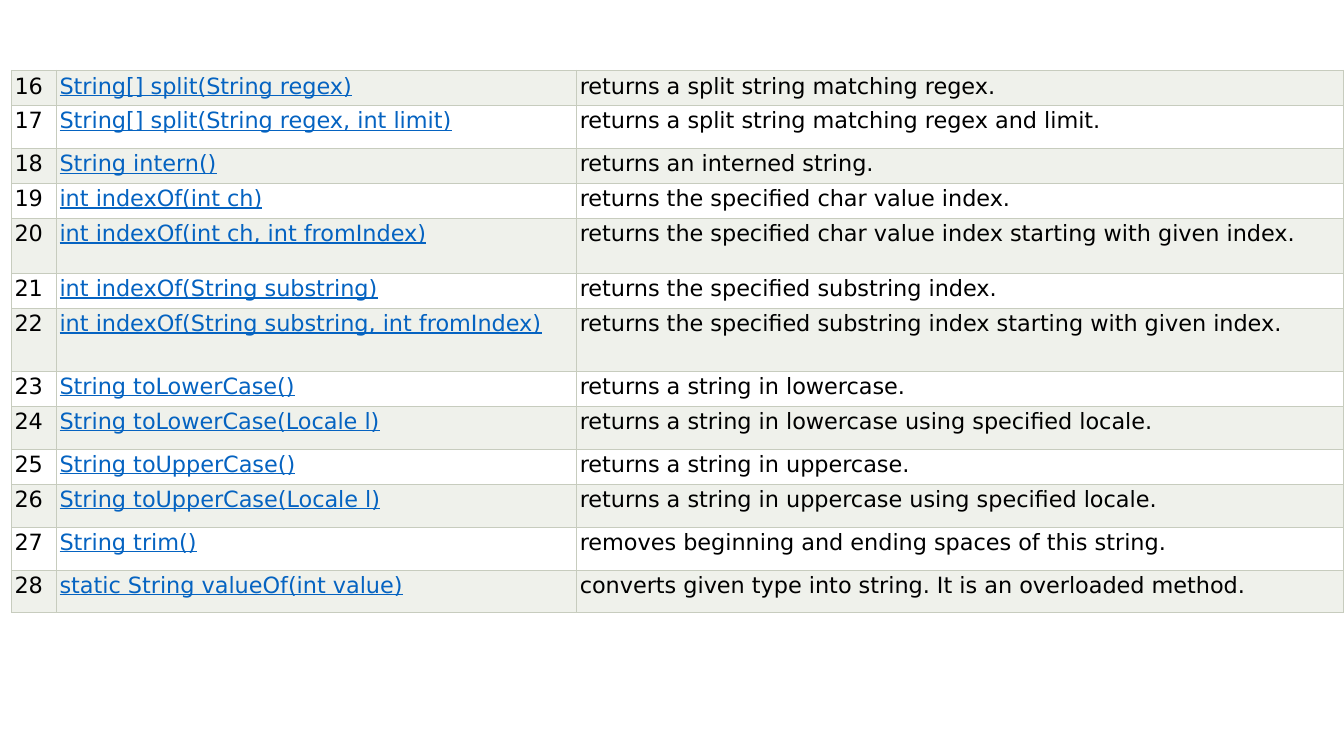
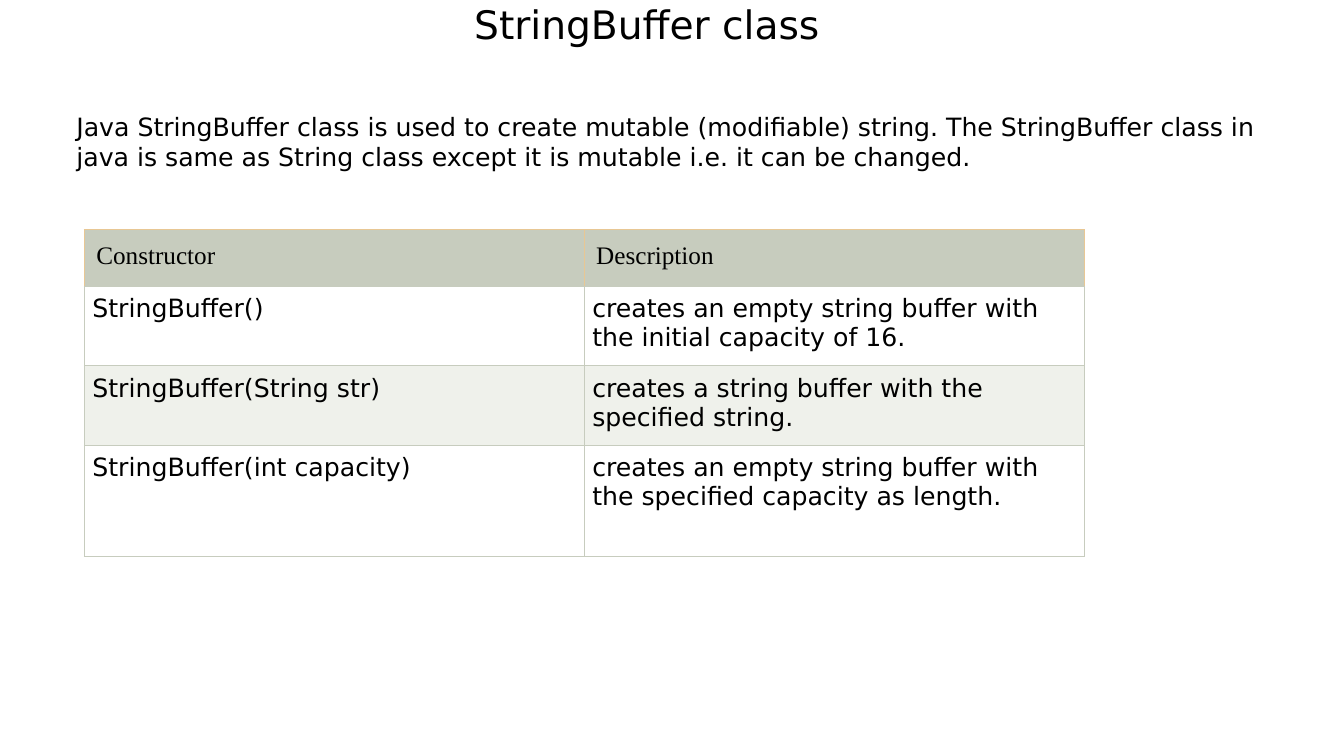
from dataclasses import dataclass
from typing import Any

from lxml.etree import SubElement
from pptx import Presentation
from pptx.dml.color import RGBColor
from pptx.enum.text import MSO_ANCHOR, MSO_AUTO_SIZE, PP_ALIGN
from pptx.oxml.ns import qn
from pptx.slide import Slide
from pptx.table import _Cell
from pptx.text.text import TextFrame
from pptx.util import Pt

BLACK = RGBColor(0x00, 0x00, 0x00)
WHITE = RGBColor(0xFF, 0xFF, 0xFF)
LINK_BLUE = RGBColor(0x05, 0x63, 0xC1)
BAND = RGBColor(0xEF, 0xF1, 0xEB)
SAGE = RGBColor(0xC7, 0xCC, 0xBE)
SAND = RGBColor(0xE8, 0xC7, 0x94)

TITLE_ONLY, BLANK = 5, 6
BORDER_WIDTH = Pt(0.75)

METHOD_FONT = {"name": "DejaVu Sans", "size": Pt(16)}
LINK_FONT = METHOD_FONT | {"underline": True}
BODY_FONT = {"name": "DejaVu Sans", "size": Pt(18)}
HEADER_FONT = {"name": "Times New Roman", "size": Pt(18)}
TITLE_FONT = {"name": "DejaVu Sans", "size": Pt(28)}


@dataclass(frozen=True)
class CellStyle:
    font: dict[str, Any]
    inset: float
    color: RGBColor = BLACK
    borders: tuple[RGBColor, ...] = (SAGE,) * 4


@dataclass(frozen=True)
class Row:
    height: float
    fill: RGBColor
    texts: tuple[str, ...]
    styles: tuple[CellStyle, ...]


@dataclass(frozen=True)
class Method:
    signature: str
    description: str
    height: float = 25


@dataclass(frozen=True)
class Constructor:
    signature: str
    description: str
    height: float = 56.8


NUMBER_STYLE = CellStyle(METHOD_FONT, 2.2)
LINK_STYLE = CellStyle(LINK_FONT, 2.2, LINK_BLUE)
HEADER_STYLE = CellStyle(HEADER_FONT, 8.6, borders=(SAND, SAND, SAND, SAGE))
BODY_STYLE = CellStyle(BODY_FONT, 5.8)

FIRST_METHOD_NUMBER = 16
METHODS = (
    Method("String[] split(String regex)", "returns a split string matching regex."),
    Method("String[] split(String regex, int limit)",
           "returns a split string matching regex and limit.", 30.7),
    Method("String intern()", "returns an interned string."),
    Method("int indexOf(int ch)", "returns the specified char value index."),
    Method("int indexOf(int ch, int fromIndex)",
           "returns the specified char value index starting with given index.", 39.3),
    Method("int indexOf(String substring)", "returns the specified substring index."),
    Method("int indexOf(String substring, int fromIndex)",
           "returns the specified substring index starting with given index.", 45),
    Method("String toLowerCase()", "returns a string in lowercase."),
    Method("String toLowerCase(Locale l)",
           "returns a string in lowercase using specified locale.", 30.7),
    Method("String toUpperCase()", "returns a string in uppercase."),
    Method("String toUpperCase(Locale l)",
           "returns a string in uppercase using specified locale.", 30.7),
    Method("String trim()", "removes beginning and ending spaces of this string.", 30.7),
    Method("static String valueOf(int value)",
           "converts given type into string. It is an overloaded method.", 30.7),
)
CONSTRUCTORS = (
    Constructor("StringBuffer()",
                "creates an empty string buffer with the initial capacity of 16."),
    Constructor("StringBuffer(String str)",
                "creates a string buffer with the specified string."),
    Constructor("StringBuffer(int capacity)",
                "creates an empty string buffer with the specified capacity as length.", 79.2),
)
INTRODUCTION = (
    "Java StringBuffer class is used to create mutable (modifiable) string. "
    "The StringBuffer class in java is same as String class except it is mutable "
    "i.e. it can be changed."
)


def set_attributes(target: Any, values: dict[str, Any]) -> None:
    for name, value in values.items():
        setattr(target, name, value)


def write_text(frame: TextFrame, text: str, font: dict[str, Any],
               color: RGBColor = BLACK) -> None:
    frame.word_wrap = True
    paragraph = frame.paragraphs[0]
    run = paragraph.add_run()
    run.text = text
    set_attributes(run.font, font)
    run.font.color.rgb = color


def draw_borders(cell: _Cell, colors: tuple[RGBColor, ...]) -> None:
    properties = cell._tc.get_or_add_tcPr()
    for side, color in zip("LRTB", colors):
        line = SubElement(properties, qn(f"a:ln{side}"), w=str(BORDER_WIDTH))
        fill = SubElement(line, qn("a:solidFill"))
        SubElement(fill, qn("a:srgbClr"), val=str(color))


def format_cell(cell: _Cell, text: str, style: CellStyle, fill: RGBColor) -> None:
    for side in ("left", "right", "top", "bottom"):
        setattr(cell, f"margin_{side}", Pt(style.inset))
    draw_borders(cell, style.borders)
    cell.fill.solid()
    cell.fill.fore_color.rgb = fill
    write_text(cell.text_frame, text, style.font, style.color)


def add_grid(slide: Slide, left: float, top: float, widths: tuple[float, ...],
             rows: list[Row]) -> None:
    height = sum(row.height for row in rows)
    table = slide.shapes.add_table(
        len(rows), len(widths), Pt(left), Pt(top), Pt(sum(widths)), Pt(height)).table
    set_attributes(table, {"first_row": False, "horz_banding": False})
    for column, width in zip(table.columns, widths):
        column.width = Pt(width)
    for table_row, row in zip(table.rows, rows):
        table_row.height = Pt(row.height)
        for cell, text, style in zip(table_row.cells, row.texts, row.styles):
            format_cell(cell, text, style, row.fill)


def add_title(slide: Slide, text: str) -> None:
    title = slide.shapes.title
    set_attributes(title, {"left": Pt(102), "top": Pt(0),
                           "width": Pt(720), "height": Pt(38)})
    write_text(title.text_frame, text, TITLE_FONT)
    set_attributes(title.text_frame, {"auto_size": MSO_AUTO_SIZE.NONE,
                                      "vertical_anchor": MSO_ANCHOR.BOTTOM})
    set_attributes(title.text_frame.paragraphs[0],
                   {"alignment": PP_ALIGN.CENTER, "line_spacing": 0.9})


def build_methods_slide(slide: Slide) -> None:
    styles = (NUMBER_STYLE, LINK_STYLE, NUMBER_STYLE)
    rows = [
        Row(method.height, WHITE if number % 2 else BAND,
            (str(number), method.signature, method.description), styles)
        for number, method in enumerate(METHODS, FIRST_METHOD_NUMBER)
    ]
    add_grid(slide, 8.2, 50.2, (32.2, 371.6, 548), rows)


def build_buffer_slide(slide: Slide) -> None:
    add_title(slide, "StringBuffer class")
    introduction = slide.shapes.add_textbox(Pt(47.5), Pt(75.6), Pt(881.3), Pt(51))
    write_text(introduction.text_frame, INTRODUCTION, BODY_FONT)
    introduction.text_frame.auto_size = MSO_AUTO_SIZE.SHAPE_TO_FIT_TEXT
    rows = [Row(40.4, SAGE, ("Constructor", "Description"), (HEADER_STYLE,) * 2)]
    rows += [
        Row(constructor.height, BAND if index % 2 else WHITE,
            (constructor.signature, constructor.description), (BODY_STYLE,) * 2)
        for index, constructor in enumerate(CONSTRUCTORS)
    ]
    add_grid(slide, 60.2, 164, (357.1,) * 2, rows)


def main() -> None:
    presentation = Presentation()
    set_attributes(presentation, {"slide_width": Pt(960), "slide_height": Pt(540)})
    layouts = presentation.slide_layouts
    build_methods_slide(presentation.slides.add_slide(layouts[BLANK]))
    build_buffer_slide(presentation.slides.add_slide(layouts[TITLE_ONLY]))
    presentation.save("out.pptx")


if __name__ == "__main__":
    main()
